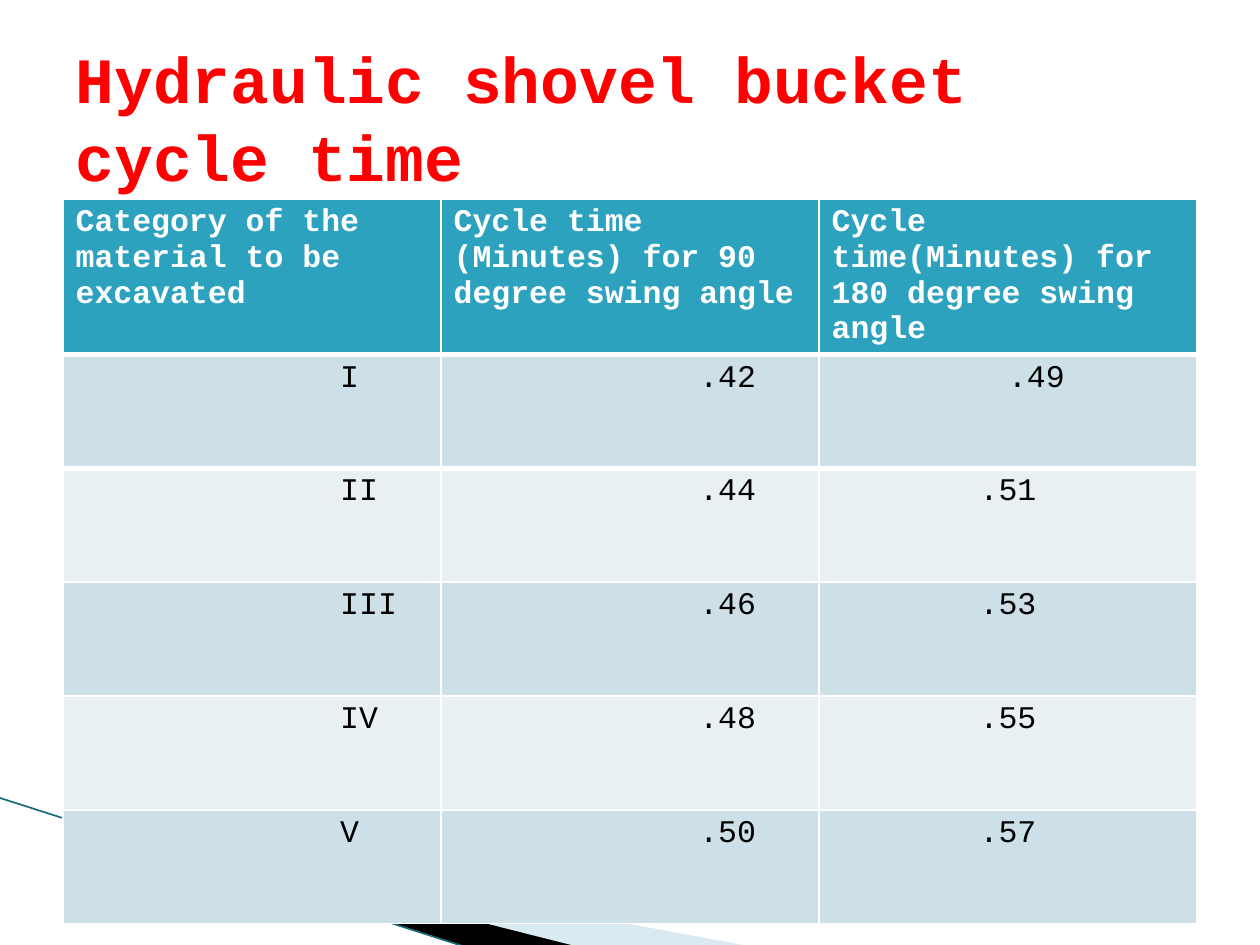
from dataclasses import dataclass

from lxml.etree import SubElement
from pptx import Presentation
from pptx.dml.color import RGBColor
from pptx.enum.shapes import MSO_CONNECTOR
from pptx.enum.text import MSO_ANCHOR, PP_ALIGN
from pptx.oxml.ns import qn
from pptx.util import Inches, Pt

SLIDE_WIDTH = Inches(10)
SLIDE_HEIGHT = Inches(7.5)
FONT = "Courier New"

WHITE = RGBColor(0xFF, 0xFF, 0xFF)
BLACK = RGBColor(0x00, 0x00, 0x00)
RED = RGBColor(0xFF, 0x00, 0x00)
TEAL = RGBColor(0x2D, 0xA2, 0xBF)
DARK_TEAL = RGBColor(0x17, 0x69, 0x7C)
PALE_BLUE = RGBColor(0xA0, 0xCB, 0xDC)
BANDS = (RGBColor(0xCD, 0xE0, 0xE8), RGBColor(0xE8, 0xF0, 0xF4))

CELL_MARGIN = 0.1
CHARACTER_WIDTH = 0.15  # one character at 18 points, in inches


@dataclass(frozen=True)
class Wedge:
    """A filled outline; points are percentages of the slide's size."""
    points: tuple[tuple[float, float], ...]
    color: RGBColor
    opacity: int = 100


@dataclass(frozen=True)
class Column:
    heading: str
    values: tuple[str, ...]
    indents: tuple[int, ...]  # in characters, one for each value
    alignment: PP_ALIGN


WEDGES = (
    Wedge(((5.5, 86.8), (59.5, 100.13), (45.6, 100.13), (5.5, 86.67)), PALE_BLUE, 40),
    Wedge(((5.3, 86.53), (45.7, 100.13), (37.2, 100.27), (5.4, 86.67)), BLACK),
)

COLUMNS = (
    Column("Category of the material to be excavated",
           ("I", "II", "III", "IV", "V"), (14,) * 5, PP_ALIGN.LEFT),
    Column("Cycle time (Minutes) for 90 degree swing angle",
           (".42", ".44", ".46", ".48", ".50"), (13,) * 5, PP_ALIGN.LEFT),
    Column("Cycle time(Minutes) for 180 degree swing angle",
           (".49", ".51", ".53", ".55", ".57"), (3, 0, 0, 0, 0), PP_ALIGN.CENTER),
)


def across(percent: float) -> int:
    return round(SLIDE_WIDTH * percent / 100)


def down(percent: float) -> int:
    return round(SLIDE_HEIGHT * percent / 100)


def write(text_frame, text: str, *, size: float, color: RGBColor, bold: bool = False,
          alignment: PP_ALIGN = PP_ALIGN.LEFT) -> None:
    paragraph = text_frame.paragraphs[0]
    paragraph.alignment = alignment
    paragraph.line_spacing = 1.0
    run = paragraph.add_run()
    run.text = text
    run.font.name = FONT
    run.font.size = Pt(size)
    run.font.bold = bold
    run.font.color.rgb = color


def draw_wedge(slide, wedge: Wedge) -> None:
    start, *others = [(across(x), down(y)) for x, y in wedge.points]
    builder = slide.shapes.build_freeform(*start)
    builder.add_line_segments(others, close=True)
    shape = builder.convert_to_shape()
    shape.shadow.inherit = False
    shape.line.fill.background()
    shape.fill.solid()
    shape.fill.fore_color.rgb = wedge.color
    if wedge.opacity < 100:
        color = shape.fill._xPr.find(".//" + qn("a:srgbClr"))
        SubElement(color, qn("a:alpha"), val=str(wedge.opacity * 1000))


def draw_edge_line(slide) -> None:
    connector = slide.shapes.add_connector(
        MSO_CONNECTOR.STRAIGHT, across(-0.1), down(84.4), across(37.1), down(100.27))
    connector.line.color.rgb = DARK_TEAL
    connector.line.width = Pt(0.95)
    SubElement(connector._element.spPr, qn("a:effectLst"))


def fill_cell(cell, text: str, fill: RGBColor, *, color: RGBColor, bold: bool = False,
              indent: int = 0, alignment: PP_ALIGN = PP_ALIGN.LEFT) -> None:
    cell.fill.solid()
    cell.fill.fore_color.rgb = fill
    cell.margin_left = Inches(CELL_MARGIN + indent * CHARACTER_WIDTH)
    write(cell.text_frame, text, size=18, color=color, bold=bold, alignment=alignment)


def set_border(cell, side: str, color: RGBColor, width: float) -> None:
    properties = cell._tc.get_or_add_tcPr()
    border = SubElement(properties, qn(f"a:{side}"), w=str(Pt(width)))
    SubElement(SubElement(border, qn("a:solidFill")), qn("a:srgbClr"), val=str(color))
    properties.insert(0, border)  # borders come before the fill


def draw_table(slide) -> None:
    row_count = len(COLUMNS[0].values) + 1
    table_height = Inches(5.42)
    table = slide.shapes.add_table(
        row_count, len(COLUMNS), across(5), Inches(1.58), across(90), table_height).table
    for row in table.rows:
        row.height = table_height // row_count
    for column_index, column in enumerate(COLUMNS):
        header = table.cell(0, column_index)
        fill_cell(header, column.heading, TEAL, color=WHITE, bold=True)
        set_border(header, "lnB", WHITE, 3)
        set_border(table.cell(1, column_index), "lnT", WHITE, 3)
        for row_index, (value, indent) in enumerate(zip(column.values, column.indents)):
            fill_cell(table.cell(row_index + 1, column_index), value,
                      BANDS[row_index % 2], color=BLACK, indent=indent,
                      alignment=column.alignment)


def place_title(slide) -> None:
    title = slide.shapes.title
    title.left, title.top = across(5), down(4)
    title.width, title.height = across(90), Inches(1.25)
    frame = title.text_frame
    frame.word_wrap = True
    frame.vertical_anchor = MSO_ANCHOR.MIDDLE
    write(frame, "Hydraulic shovel bucket cycle time", size=36.9, color=RED, bold=True)


def main() -> None:
    presentation = Presentation()
    presentation.slide_width = SLIDE_WIDTH
    presentation.slide_height = SLIDE_HEIGHT
    slide = presentation.slides.add_slide(presentation.slide_layouts[5])

    # Corner decoration, behind the table
    for wedge in WEDGES:
        draw_wedge(slide, wedge)
    draw_edge_line(slide)

    # Content
    draw_table(slide)
    place_title(slide)
    presentation.save("out.pptx")


if __name__ == "__main__":
    main()
